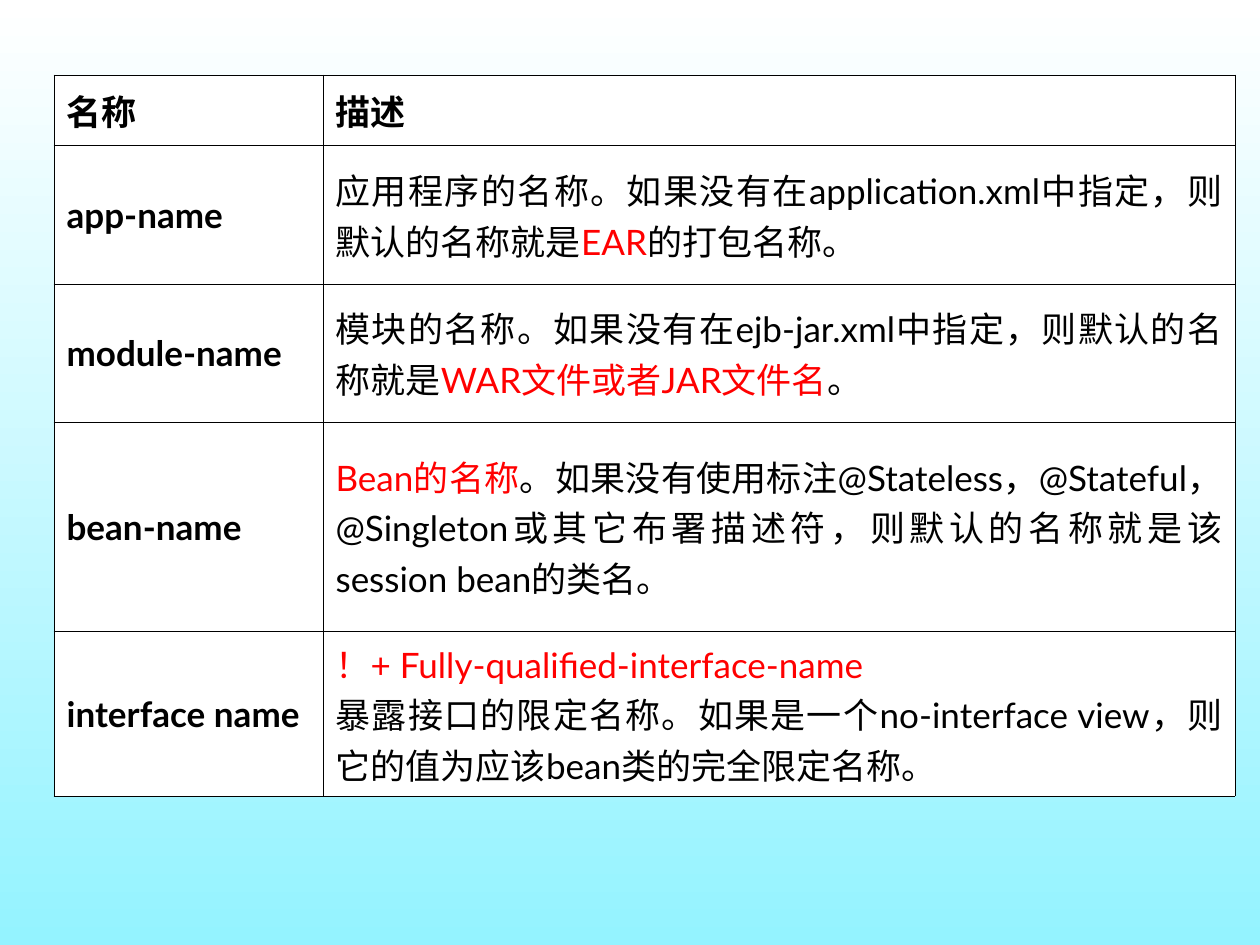
from lxml import etree
from pptx import Presentation
from pptx.dml.color import RGBColor
from pptx.enum.text import MSO_ANCHOR, PP_ALIGN
from pptx.oxml.ns import qn
from pptx.util import Pt

MIDDLE = MSO_ANCHOR.MIDDLE
JUSTIFY = PP_ALIGN.JUSTIFY
COLORS = {"text": "000000", "key": "FF0000", "cell": "FFFFFF",
          "line": "000000", "top": "FFFFFF", "bottom": "94F3FF"}
COLS = [269, 912]
ROWS = [70, 139, 138, 209, 165]
CELLS = [
    ("名称", [[("描述", "text")]]),
    ("app-name", [[
        ("应用程序的名称。如果没有在application.xml中指定，则默认的名称就是", "text"),
        ("EAR", "key"), ("的打包名称。", "text")]]),
    ("module-name", [[
        ("模块的名称。如果没有在ejb-jar.xml中指定，则默认的名称就是", "text"),
        ("WAR文件或者JAR文件名", "key"), ("。", "text")]]),
    ("bean-name", [[
        ("Bean的名称", "key"),
        ("。如果没有使用标注@Stateless，@Stateful，@Singleton或其它布署描述符，"
         "则默认的名称就是该session bean的类名。", "text")]]),
    ("interface name", [
        [("！+ Fully-qualified-interface-name", "key")],
        [("暴露接口的限定名称。如果是一个no-interface view，"
          "则它的值为应该bean类的完全限定名称。", "text")]]),
]


def px(n):
    return round(n * 914400 / 126)


def add_run(p, text, color="text", bold=False, size=20, font="Lato"):
    r = p.add_run()
    r.text = text
    r.font.name = font
    r.font.size = Pt(size)
    r.font.bold = bold
    r.font.color.rgb = RGBColor.from_string(COLORS[color])


prs = Presentation()
prs.slide_width, prs.slide_height = px(1260), px(945)
s = prs.slides.add_slide(prs.slide_layouts[6])

fill = s.background.fill
fill.gradient()
fill.gradient_angle = 270
for stop, name in zip(fill.gradient_stops, ("top", "bottom")):
    stop.color.rgb = RGBColor.from_string(COLORS[name])

table = s.shapes.add_table(len(ROWS), len(COLS), px(54), px(75),
                           px(sum(COLS)), px(sum(ROWS))).table
for col, width in zip(table.columns, COLS):
    col.width = px(width)
for row, height in zip(table.rows, ROWS):
    row.height = px(height)

for i, (name, description) in enumerate(CELLS):
    for j, paragraphs in enumerate(([[(name, "text")]], description)):
        cell = table.cell(i, j)
        cell.vertical_anchor = MIDDLE
        tf = cell.text_frame
        for k, runs in enumerate(paragraphs):
            p = tf.add_paragraph() if k else tf.paragraphs[0]
            p.alignment = JUSTIFY
            for text, color in runs:
                add_run(p, text, color=color, bold=i == 0 or j == 0)
        tcPr = cell._tc.get_or_add_tcPr()
        for side in ("lnL", "lnR", "lnT", "lnB"):
            ln = etree.SubElement(tcPr, qn("a:" + side), w=str(Pt(0.45)))
            solid = etree.SubElement(ln, qn("a:solidFill"))
            etree.SubElement(solid, qn("a:srgbClr"), val=COLORS["line"])
        cell.fill.solid()
        cell.fill.fore_color.rgb = RGBColor.from_string(COLORS["cell"])

prs.save("out.pptx")
